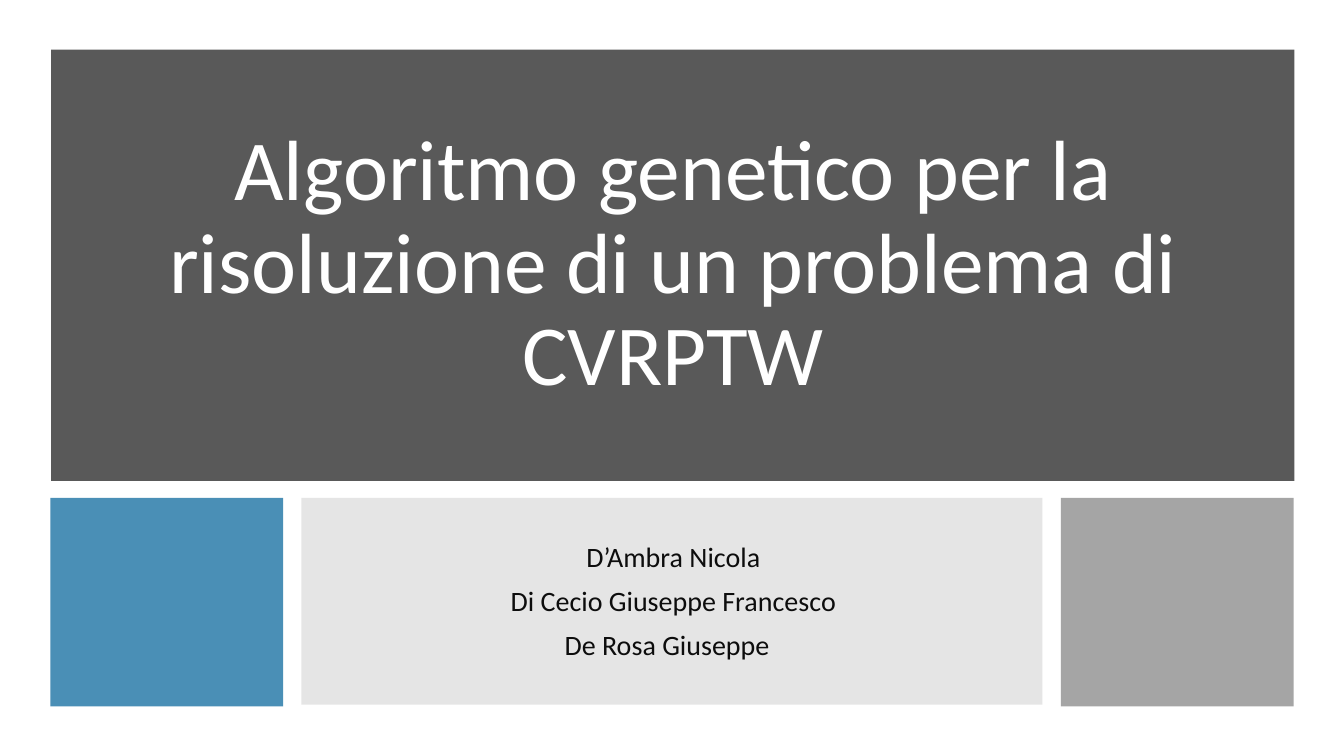
from dataclasses import dataclass

from lxml.etree import SubElement
from pptx import Presentation
from pptx.dml.color import RGBColor
from pptx.enum.shapes import MSO_SHAPE
from pptx.enum.text import MSO_ANCHOR, PP_ALIGN
from pptx.oxml.ns import qn
from pptx.util import Pt

TITLE = "Algoritmo genetico per la risoluzione di un problema di CVRPTW"
# Author and right indent in points
AUTHORS = [
    ("D’Ambra Nicola", 0),
    ("Di Cecio Giuseppe Francesco", 0),
    ("De Rosa Giuseppe", 9),
]


@dataclass(frozen=True)
class Theme:
    font: str = "Calibri"
    title_size: int = 61
    author_size: int = 20
    title_text: str = "FFFFFF"
    author_text: str = "0D0D0D"
    title_panel: str = "595959"
    left_panel: str = "418AB3"
    author_panel: str = "7F7F7F"
    right_panel: str = "A5A5A5"


THEME = Theme()
SLIDE_WIDTH, SLIDE_HEIGHT = 960, 540
MARGIN = 36
CONTENT_WIDTH = SLIDE_WIDTH - 2 * MARGIN
TITLE_TOP, TITLE_HEIGHT = 35.5, 308
ROW_TOP, SIDE_HEIGHT, AUTHOR_HEIGHT = 355.7, 149, 147.6
SIDE_WIDTH, GAP = 166.3, 13


def add_panel(slide, box, color, opacity=100):
    panel = slide.shapes.add_shape(MSO_SHAPE.RECTANGLE, *map(Pt, box))
    panel.shadow.inherit = False
    panel.line.fill.background()
    panel.fill.solid()
    panel.fill.fore_color.rgb = RGBColor.from_string(color)
    if opacity < 100:
        color_node = panel.fill._xPr.find(qn("a:solidFill"))[0]
        SubElement(color_node, qn("a:alpha"), val=str(opacity * 1000))


def add_centred_text(slide, box, lines, size, color, space_before=0):
    """Add one centred paragraph per (text, right indent) pair."""
    frame = slide.shapes.add_textbox(*map(Pt, box)).text_frame
    frame.word_wrap = True
    frame.vertical_anchor = MSO_ANCHOR.MIDDLE
    for index, (text, right_indent) in enumerate(lines):
        paragraph = frame.add_paragraph() if index else frame.paragraphs[0]
        paragraph.alignment = PP_ALIGN.CENTER
        paragraph.line_spacing = 0.9
        paragraph.space_before = Pt(space_before)
        if right_indent:
            paragraph._p.get_or_add_pPr().set("marR", str(Pt(right_indent)))
        run = paragraph.add_run()
        run.text = text
        run.font.name = THEME.font
        run.font.size = Pt(size)
        run.font.color.rgb = RGBColor.from_string(color)


def main():
    deck = Presentation()
    deck.slide_width, deck.slide_height = Pt(SLIDE_WIDTH), Pt(SLIDE_HEIGHT)
    slide = deck.slides.add_slide(deck.slide_layouts[6])

    author_left = MARGIN + SIDE_WIDTH + GAP
    author_width = CONTENT_WIDTH - 2 * (SIDE_WIDTH + GAP)
    right_left = author_left + author_width + GAP

    add_panel(slide, (MARGIN + 0.5, TITLE_TOP, CONTENT_WIDTH, TITLE_HEIGHT),
              THEME.title_panel)
    add_centred_text(slide, (86.4, 86.4, 788.4, 206.6), [(TITLE, 0)],
                     THEME.title_size, THEME.title_text)
    add_panel(slide, (MARGIN, ROW_TOP, SIDE_WIDTH, SIDE_HEIGHT),
              THEME.left_panel, 95)
    add_panel(slide, (author_left, ROW_TOP, author_width, AUTHOR_HEIGHT),
              THEME.author_panel, 20)
    add_centred_text(slide, (254.2, 381.6, 453.6, 97.2), AUTHORS,
                     THEME.author_size, THEME.author_text, 10)
    add_panel(slide, (right_left, ROW_TOP, SIDE_WIDTH, SIDE_HEIGHT),
              THEME.right_panel)
    deck.save("out.pptx")


if __name__ == "__main__":
    main()
